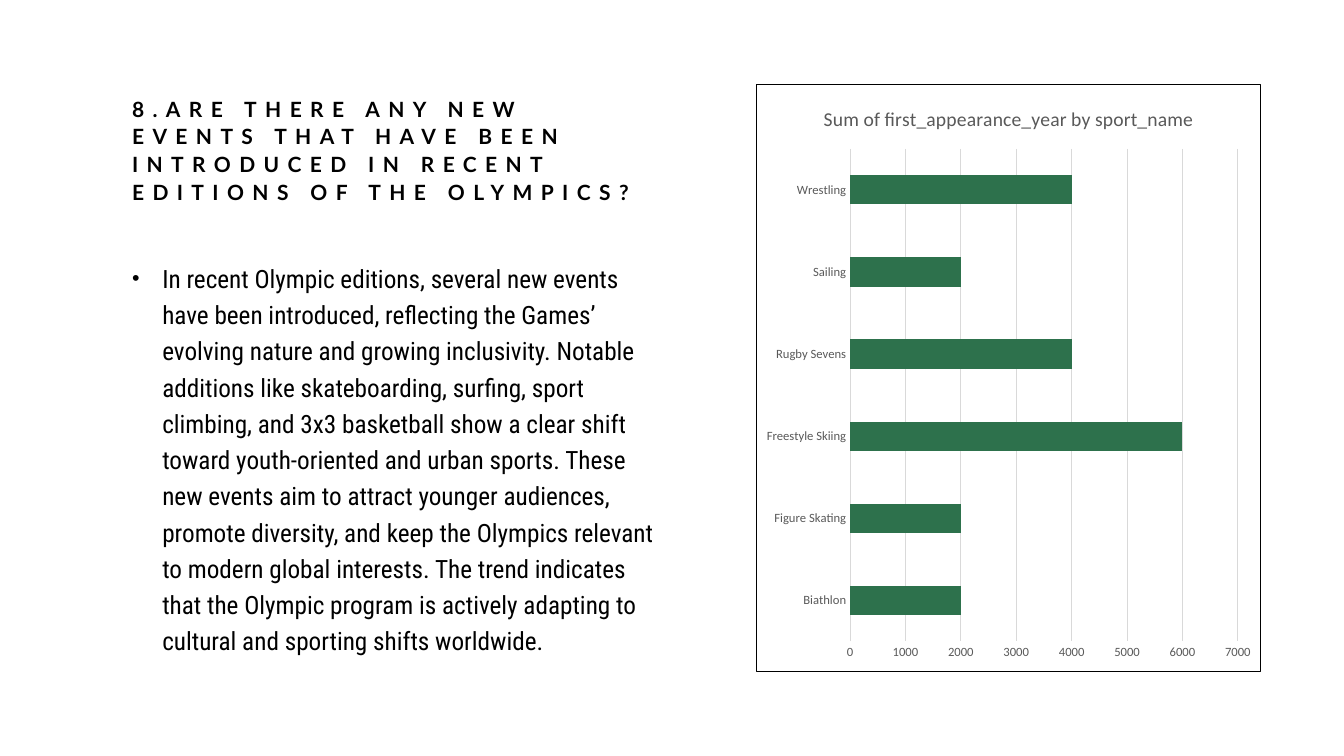
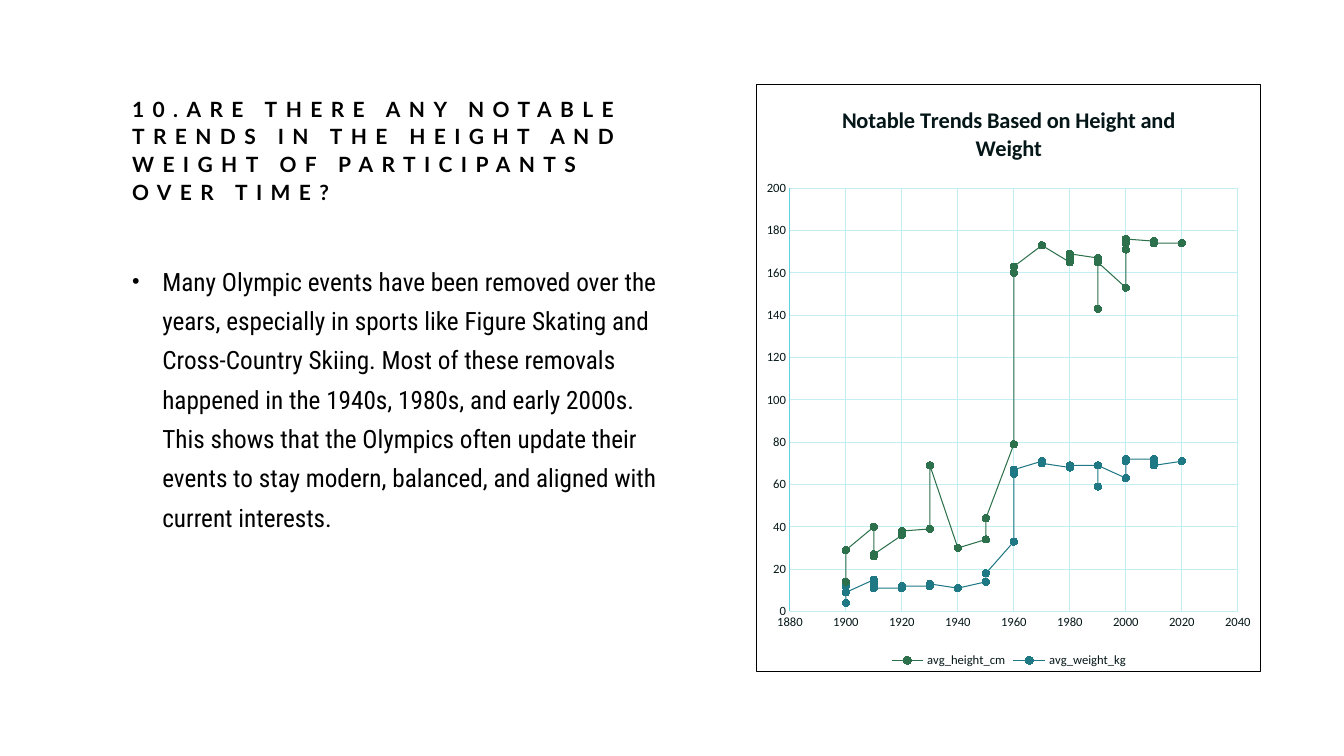
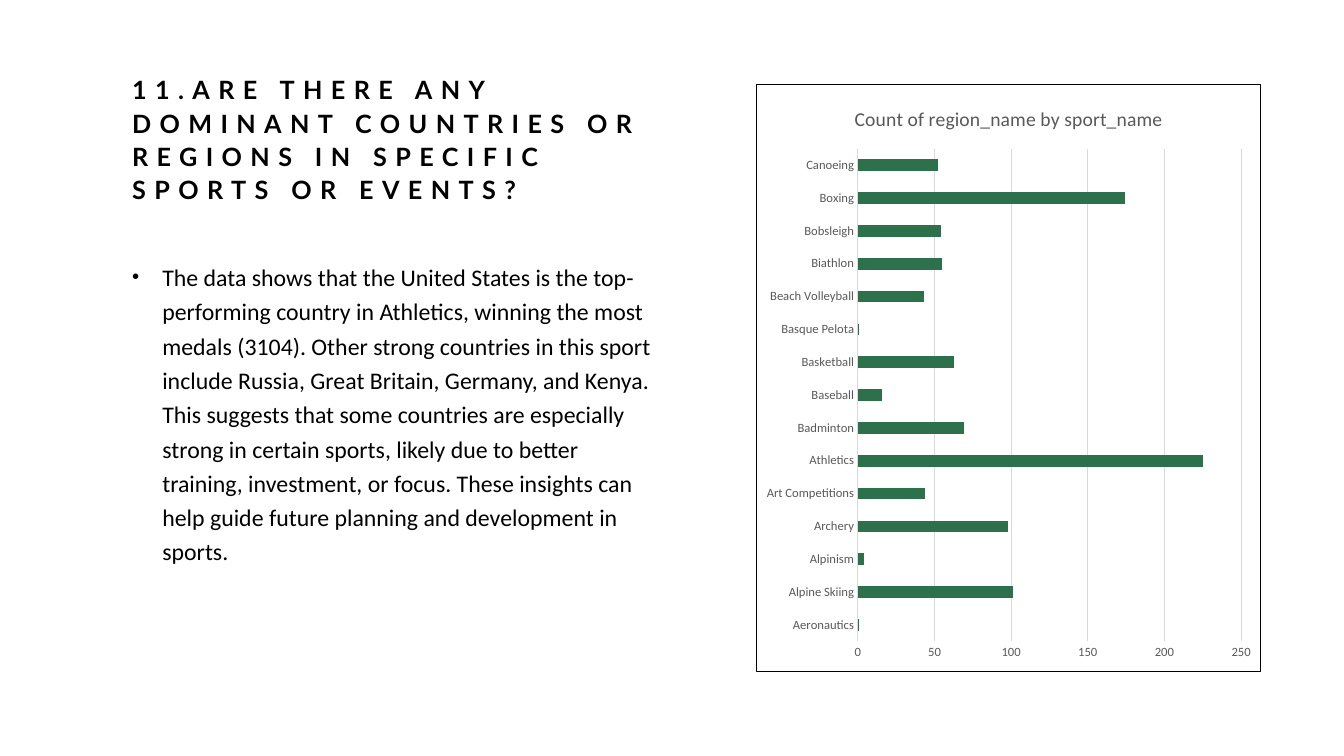
import pptx
import pptx.chart.data
import pptx.dml.color
import pptx.enum.chart
import pptx.enum.text
import pptx.oxml
import pptx.oxml.ns
import pptx.util

Inches, Pt = pptx.util.Inches, pptx.util.Pt
ChartType = pptx.enum.chart.XL_CHART_TYPE

COLORS = {
    "text": "000000", "green": "2D714C", "teal": "1F7985",
    "green_marker": "2A744C", "teal_marker": "1A7D8A",
    "gray_text": "595959", "gray_line": "D9D9D9",
    "dark_text": "051618", "pale_line": "C3EEF3", "axis_line": "60D1DE",
}
NS = pptx.oxml.ns.nsdecls("a")
BULLET = (f'<a:buSzPct {NS} val="85000"/>', f'<a:buFont {NS} typeface="Arial"/>',
          f'<a:buChar {NS} char="•"/>')
CHART_FRAME = (
    f'<c:spPr {pptx.oxml.ns.nsdecls("c", "a")}>'
    '<a:solidFill><a:srgbClr val="FFFFFF"/></a:solidFill>'
    f'<a:ln w="9525"><a:solidFill><a:srgbClr val="{COLORS["text"]}"/></a:solidFill></a:ln>'
    '</c:spPr>')


def set_font(font, size, color, name="Calibri", bold=False):
    font.name, font.size, font.bold = name, Pt(size), bold
    font.color.rgb = pptx.dml.color.RGBColor.from_string(COLORS[color])


def set_line(line, color):
    line.color.rgb = pptx.dml.color.RGBColor.from_string(COLORS[color])
    line.width = Pt(0.75)


new_sports = pptx.chart.data.CategoryChartData()
new_sports.categories = ["Biathlon", "Figure Skating", "Freestyle Skiing",
                         "Rugby Sevens", "Sailing", "Wrestling"]
new_sports.add_series("Series 1", [2000, 2000, 6000, 4000, 2000, 4000])

# Years are given to the nearest ten
years = [1900, 1900, 1900, 1910, 1910, 1910, 1920, 1920, 1930, 1930, 1940, 1950, 1950,
         1960, 1960, 1960, 1970, 1970, 1980, 1980, 1980, 1990, 1990, 1990, 2000, 2000,
         2000, 2000, 2000, 2010, 2010, 2010, 2010, 2010, 2020]
heights = [29, 14, 29, 40, 26, 27, 36, 38, 39, 69, 30, 34, 44, 79, 160, 163, 173, 173,
           165, 167, 169, 167, 143, 165, 153, 171, 175, 174, 176, 175, 175, 175, 174,
           174, 174]
weights = [12, 4, 9, 15, 13, 11, 11, 12, 12, 13, 11, 14, 18, 33, 65, 67, 71, 70, 68, 69,
           69, 69, 59, 69, 63, 71, 72, 72, 72, 72, 72, 72, 70, 69, 71]
body_trends = pptx.chart.data.XyChartData()
for name, values in (("avg_height_cm", heights), ("avg_weight_kg", weights)):
    series = body_trends.add_series(name)
    for year, value in zip(years, values):
        series.add_data_point(year, value)

regions = pptx.chart.data.CategoryChartData()
regions.categories = ["Aeronautics", "Alpine Skiing", "Alpinism", "Archery",
                      "Art Competitions", "Athletics", "Badminton", "Baseball",
                      "Basketball", "Basque Pelota", "Beach Volleyball", "Biathlon",
                      "Bobsleigh", "Boxing", "Canoeing"]
regions.add_series("Series 1", [1, 101, 4, 98, 44, 225, 69, 16, 63, 1, 43, 55, 54, 174, 52])

SLIDES = [
    dict(title="8.ARE THERE ANY NEW EVENTS THAT HAVE BEEN INTRODUCED IN RECENT EDITIONS "
               "OF THE OLYMPICS?",
         title_size=15,
         body="In recent Olympic editions, several new events have been introduced, "
              "reflecting the Games’ evolving nature and growing inclusivity. Notable "
              "additions like skateboarding, surfing, sport climbing, and 3x3 basketball "
              "show a clear shift toward youth-oriented and urban sports. These new events "
              "aim to attract younger audiences, promote diversity, and keep the Olympics "
              "relevant to modern global interests. The trend indicates that the Olympic "
              "program is actively adapting to cultural and sporting shifts worldwide.",
         body_font="Roboto Condensed", body_size=18, spacing=1.2,
         chart_title="Sum of first_appearance_year by sport_name",
         data=new_sports, value_scale=(0, 7000, 1000)),
    dict(title="10.ARE THERE ANY NOTABLE TRENDS IN THE HEIGHT AND WEIGHT OF PARTICIPANTS "
               "OVER TIME?",
         title_size=15,
         body="Many Olympic events have been removed over the years, especially in sports "
              "like Figure Skating and Cross-Country Skiing. Most of these removals "
              "happened in the 1940s, 1980s, and early 2000s. This shows that the Olympics "
              "often update their events to stay modern, balanced, and aligned with "
              "current interests.",
         body_font="Roboto Condensed", body_size=18, spacing=1.3,
         chart_title="Notable Trends Based on Height and Weight",
         data=body_trends, value_scale=(0, 200, 20), year_scale=(1880, 2040, 20)),
    dict(title="11.ARE THERE ANY DOMINANT COUNTRIES OR REGIONS IN SPECIFIC SPORTS OR EVENTS?",
         title_size=18,
         body="The data shows that the United States is the top-performing country in "
              "Athletics, winning the most medals (3104). Other strong countries in this "
              "sport include Russia, Great Britain, Germany, and Kenya. This suggests that "
              "some countries are especially strong in certain sports, likely due to "
              "better training, investment, or focus. These insights can help guide "
              "future planning and development in sports.",
         body_font="Calibri", body_size=17, spacing=1.2,
         chart_title="Count of region_name by sport_name",
         data=regions, value_scale=(0, 250, 50)),
]

prs = pptx.Presentation()
prs.slide_width, prs.slide_height = Inches(13.33), Inches(7.5)

# The layout holds the places of title and body for every slide
layout = prs.slide_layouts[1]
for ph, top, height in zip(layout.placeholders, (0.83, 2.5), (1.25, 4.17)):
    ph.left, ph.top, ph.width, ph.height = map(Inches, (1.21, top, 5.46, height))

for content in SLIDES:
    s = prs.slides.add_slide(layout)

    tf = s.shapes.title.text_frame
    tf.text = content["title"]
    tf.vertical_anchor = pptx.enum.text.MSO_ANCHOR.BOTTOM
    tf.auto_size = pptx.enum.text.MSO_AUTO_SIZE.NONE
    p = tf.paragraphs[0]
    p.alignment = pptx.enum.text.PP_ALIGN.LEFT
    p.line_spacing = 1.1
    r = p.runs[0]
    set_font(r.font, content["title_size"], "text", "Lato", bold=True)
    r.font._element.set("spc", "600")

    tf = s.placeholders[1].text_frame
    tf.text = content["body"]
    tf.auto_size = pptx.enum.text.MSO_AUTO_SIZE.NONE
    p = tf.paragraphs[0]
    p.line_spacing, p.space_before = content["spacing"], Pt(10)
    set_font(p.runs[0].font, content["body_size"], "text", content["body_font"])
    pPr = p._p.get_or_add_pPr()
    pPr.set("marL", str(Inches(0.3)))
    pPr.set("indent", str(Inches(-0.3)))
    for xml in BULLET:
        pPr.append(pptx.oxml.parse_xml(xml))

    is_scatter = "year_scale" in content
    chart = s.shapes.add_chart(
        ChartType.XY_SCATTER_LINES if is_scatter else ChartType.BAR_CLUSTERED,
        Inches(7.5), Inches(0.83), Inches(5.01), Inches(5.84), content["data"]).chart
    set_font(chart.font, 10, "text")
    chart._chartSpace.find(pptx.oxml.ns.qn("c:txPr")).addprevious(
        pptx.oxml.parse_xml(CHART_FRAME))
    label_color = "dark_text" if is_scatter else "gray_text"
    grid_color = "pale_line" if is_scatter else "gray_line"

    chart.has_title = True
    tf = chart.chart_title.text_frame
    tf.text = content["chart_title"]
    set_font(tf.paragraphs[0].runs[0].font, 16 if is_scatter else 14, label_color,
             bold=is_scatter)

    chart.has_legend = is_scatter
    if is_scatter:
        chart.legend.position = pptx.enum.chart.XL_LEGEND_POSITION.BOTTOM
        chart.legend.include_in_layout = False
        set_font(chart.legend.font, 9, label_color)

    for axis, scale in ((chart.category_axis, content.get("year_scale")),
                        (chart.value_axis, content["value_scale"])):
        axis.major_tick_mark = axis.minor_tick_mark = pptx.enum.chart.XL_TICK_MARK.NONE
        set_font(axis.tick_labels.font, 9, label_color)
        set_line(axis.format.line, grid_color)
        axis.has_major_gridlines = scale is not None
        if scale:
            axis.minimum_scale, axis.maximum_scale, axis.major_unit = scale
            set_line(axis.major_gridlines.format.line, grid_color)

    plot = chart.plots[0]
    plot.vary_by_categories = False
    if is_scatter:
        set_line(chart.value_axis.format.line, "axis_line")
        for series, color in zip(plot.series, ("green", "teal")):
            series.smooth = False
            set_line(series.format.line, color)
            marker = series.marker
            marker.style, marker.size = pptx.enum.chart.XL_MARKER_STYLE.CIRCLE, 5
            marker.format.fill.solid()
            marker.format.fill.fore_color.rgb = pptx.dml.color.RGBColor.from_string(
                COLORS[color + "_marker"])
            set_line(marker.format.line, color + "_marker")
    else:
        chart.value_axis.format.line.fill.background()
        plot.gap_width = 182
        fill = plot.series[0].format.fill
        fill.solid()
        fill.fore_color.rgb = pptx.dml.color.RGBColor.from_string(COLORS["green"])

prs.save("out.pptx")
